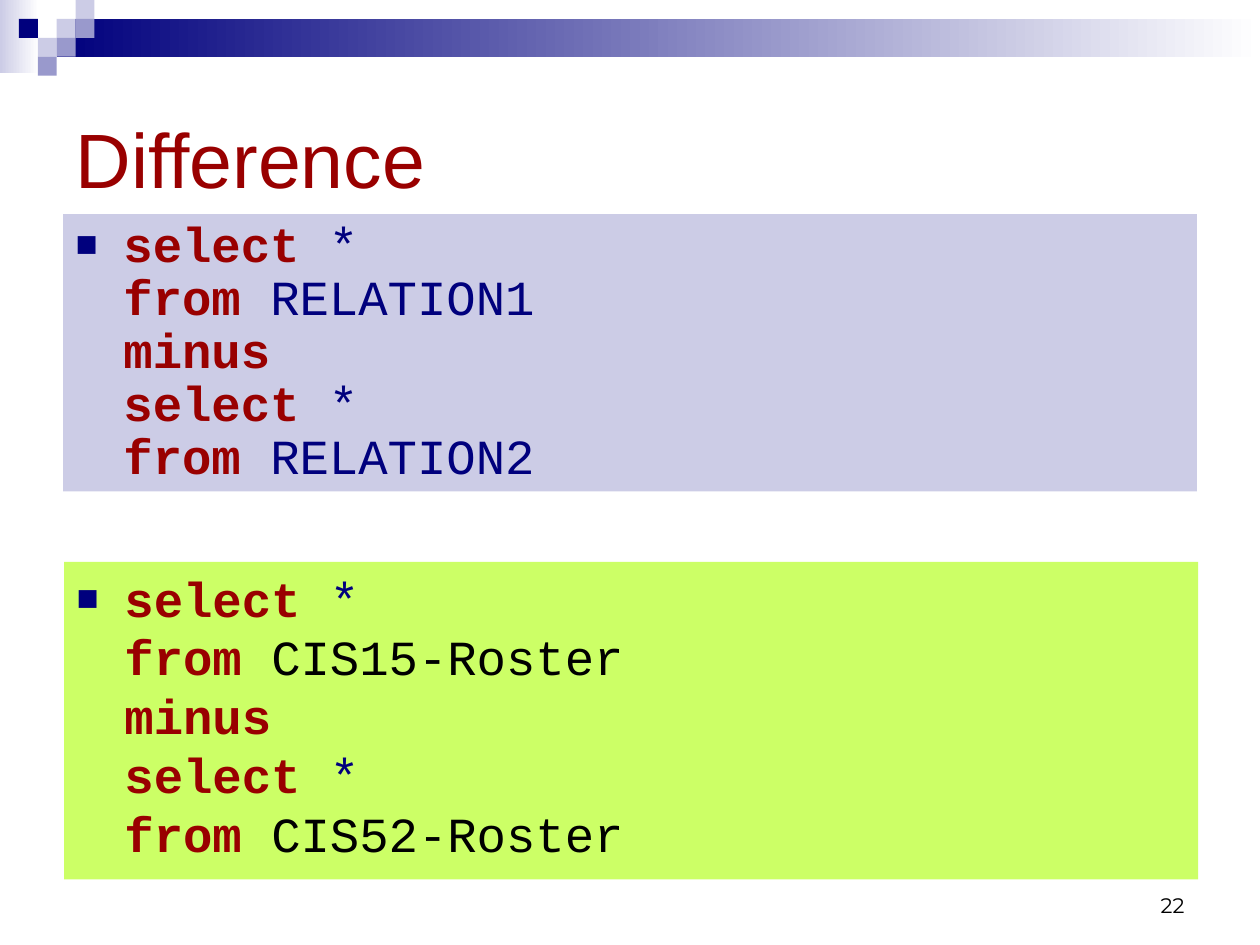
from dataclasses import dataclass

from lxml.etree import SubElement
from pptx import Presentation
from pptx.dml.color import RGBColor
from pptx.enum.shapes import MSO_SHAPE
from pptx.enum.text import MSO_ANCHOR, MSO_AUTO_SIZE, PP_ALIGN
from pptx.oxml.ns import qn
from pptx.util import Inches, Pt


@dataclass(frozen=True)
class Theme:
    navy: RGBColor = RGBColor(0x00, 0x00, 0x7D)
    periwinkle: RGBColor = RGBColor(0x99, 0x99, 0xCC)
    lavender: RGBColor = RGBColor(0xCC, 0xCC, 0xE6)
    lime: RGBColor = RGBColor(0xCC, 0xFF, 0x66)
    red: RGBColor = RGBColor(0x99, 0x00, 0x00)
    black: RGBColor = RGBColor(0x00, 0x00, 0x00)
    white: RGBColor = RGBColor(0xFF, 0xFF, 0xFF)
    title_font: str = "Arial"
    code_font: str = "Courier New"
    number_font: str = "Montserrat"
    title_size: int = 44
    code_size: int = 28
    number_size: int = 12


THEME = Theme()
TILE = 0.15


def place(shape, left, top, width, height):
    shape.left, shape.top = Inches(left), Inches(top)
    shape.width, shape.height = Inches(width), Inches(height)


def add_run(paragraph, text, font, size, color, bold=False):
    run = paragraph.add_run()
    run.text = text
    run.font.name = font
    run.font.size = Pt(size)
    run.font.bold = bold
    run.font.color.rgb = color


def add_block(slide, left, top, width, height):
    block = slide.shapes.add_shape(MSO_SHAPE.RECTANGLE, Inches(left), Inches(top),
                                   Inches(width), Inches(height))
    block.shadow.inherit = False
    block.line.fill.background()
    return block


def add_fade(slide, left, top, width, height, color):
    """Add a block that fades from color to white, left to right."""
    fill = add_block(slide, left, top, width, height).fill
    fill.gradient()
    fill.gradient_angle = 0
    for stop, stop_color in zip(fill.gradient_stops, (color, THEME.white)):
        stop.color.rgb = stop_color


def add_corner_decoration(slide):
    add_fade(slide, 0, 0, 0.31, 0.58, THEME.lavender)
    add_fade(slide, 0.45, 0.15, 9.55, 0.3, THEME.navy)
    tiles = [
        (3, 1, THEME.lavender), (4, 0, THEME.lavender), (4, 1, THEME.periwinkle),
        (2, 2, THEME.lavender), (1, 1, THEME.navy), (3, 2, THEME.periwinkle),
        (2, 3, THEME.periwinkle),
    ]
    for column, row, color in tiles:
        tile = add_block(slide, column * TILE, row * TILE, TILE, TILE)
        tile.fill.solid()
        tile.fill.fore_color.rgb = color


def set_square_bullet(paragraph):
    properties = paragraph._p.get_or_add_pPr()
    properties.set("marL", str(Inches(0.38)))
    properties.set("indent", str(Inches(-0.38)))
    bullet_color = SubElement(properties, qn("a:buClr"))
    SubElement(bullet_color, qn("a:srgbClr"), val=str(THEME.navy))
    SubElement(properties, qn("a:buSzPct"), val="75000")
    SubElement(properties, qn("a:buFont"), typeface="Arial")
    SubElement(properties, qn("a:buChar"), char="■")


def write_query(box, background, relations, relation_color, line_spacing):
    """Fill a box with the difference query over two relations."""
    box.fill.solid()
    box.fill.fore_color.rgb = background
    frame = box.text_frame
    frame.word_wrap = True
    frame.auto_size = MSO_AUTO_SIZE.NONE
    frame.vertical_anchor = MSO_ANCHOR.TOP
    paragraph = frame.paragraphs[0]
    paragraph.alignment = PP_ALIGN.LEFT
    paragraph.line_spacing = line_spacing
    paragraph.space_before = Pt(7)
    set_square_bullet(paragraph)

    first, second = relations
    lines = [
        ("select ", "*", THEME.navy),
        ("from ", first, relation_color),
        ("minus", "", THEME.navy),
        ("select ", "*", THEME.navy),
        ("from ", second, relation_color),
    ]
    for index, (keyword, operand, color) in enumerate(lines):
        if index:
            paragraph.add_line_break()
        add_run(paragraph, keyword, THEME.code_font, THEME.code_size, THEME.red, bold=True)
        if operand:
            add_run(paragraph, operand, THEME.code_font, THEME.code_size, color)


def write_title(title, text):
    place(title, 0.5, 0.5, 9, 1.5)
    frame = title.text_frame
    frame.auto_size = MSO_AUTO_SIZE.NONE
    frame.vertical_anchor = MSO_ANCHOR.MIDDLE
    paragraph = frame.paragraphs[0]
    paragraph.alignment = PP_ALIGN.LEFT
    add_run(paragraph, text, THEME.title_font, THEME.title_size, THEME.red)


def add_slide_number(slide, number):
    box = slide.shapes.add_textbox(Inches(7.17), Inches(6.83), Inches(2.33), Inches(0.5))
    frame = box.text_frame
    frame.word_wrap = True
    frame.vertical_anchor = MSO_ANCHOR.BOTTOM
    paragraph = frame.paragraphs[0]
    paragraph.alignment = PP_ALIGN.RIGHT
    add_run(paragraph, number, THEME.number_font, THEME.number_size, THEME.black)


def main():
    presentation = Presentation()
    presentation.slide_width, presentation.slide_height = Inches(10), Inches(7.5)
    slide = presentation.slides.add_slide(presentation.slide_layouts[1])

    add_corner_decoration(slide)
    write_title(slide.shapes.title, "Difference")

    general_query = slide.placeholders[1]
    place(general_query, 0.5, 1.7, 9, 2.2)
    write_query(general_query, THEME.lavender, ("RELATION1", "RELATION2"), THEME.navy, 0.9)

    roster_query = add_block(slide, 0.51, 4.46, 9, 2.52)
    write_query(roster_query, THEME.lime, ("CIS15-Roster", "CIS52-Roster"), THEME.black, 1.0)

    add_slide_number(slide, "22")
    presentation.save("out.pptx")


if __name__ == "__main__":
    main()
